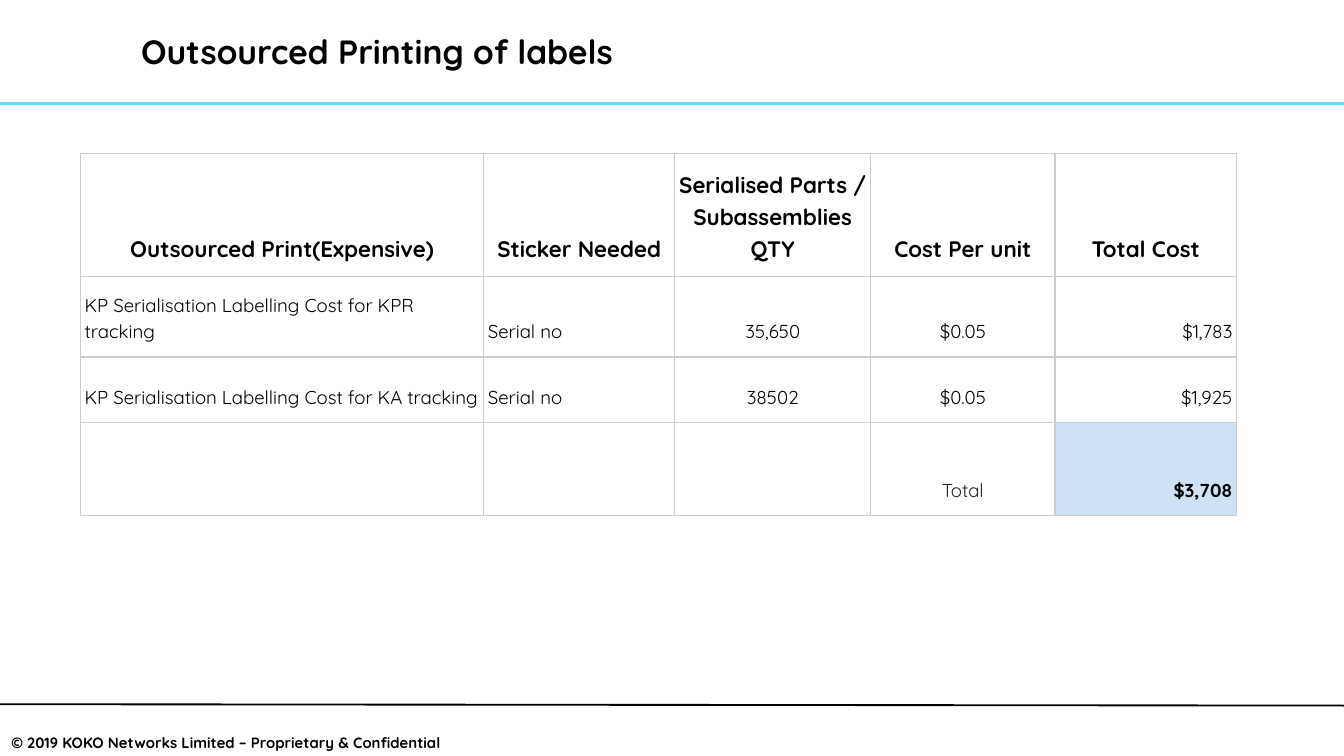
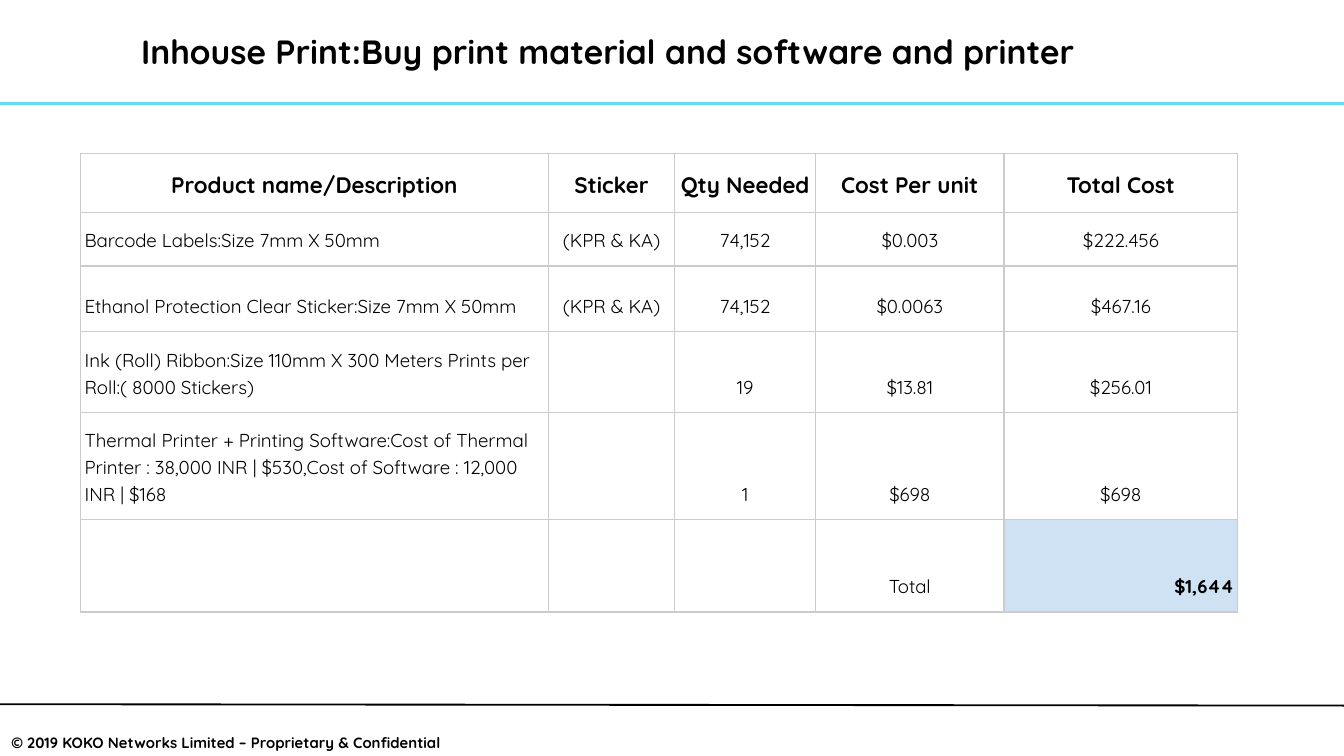
import pptx
import pptx.util
import pptx.dml.color
import pptx.enum.shapes
import pptx.enum.text
import pptx.oxml.ns
from lxml import etree

Inches, Pt = pptx.util.Inches, pptx.util.Pt
ANCHOR = pptx.enum.text.MSO_ANCHOR
ALIGN = {"l": pptx.enum.text.PP_ALIGN.LEFT,
         "c": pptx.enum.text.PP_ALIGN.CENTER,
         "r": pptx.enum.text.PP_ALIGN.RIGHT}
qn = pptx.oxml.ns.qn

# Shared style
FONT = "Quicksand"
BLACK, WHITE, CYAN = "000000", "FFFFFF", "65D9F8"
GRID, TOTAL_FILL, TOTAL_LABEL = "CCCCCC", "CFE2F3", "222222"
FOOTER = "© 2019 KOKO Networks Limited – Proprietary & Confidential "
RULES = [(10.01, 0.77, 0.77, CYAN, 1.5), (10, 5.24, 5.25, BLACK, 1)]


def rgb(value):
    return pptx.dml.color.RGBColor.from_string(value)


def write(tf, text, size=10, bold=False, color=BLACK, align="l", spacing=100):
    tf.auto_size = pptx.enum.text.MSO_AUTO_SIZE.NONE
    p = tf.paragraphs[0]
    p.alignment = ALIGN[align]
    p.line_spacing = 1.0
    # Whole percent, free of float rounding
    p._p.pPr.find(".//" + qn("a:spcPct")).set("val", str(spacing * 1000))
    p.space_before = p.space_after = Pt(0)
    r = p.add_run()
    r.text = text
    r.font.name = FONT
    r.font.size = Pt(size)
    r.font.bold = bold
    r.font.color.rgb = rgb(color)


# Slide content: the last row of each table is the total
slides = [
    dict(
        title="Outsourced Printing of labels",
        cols=[3, 1.42, 1.46, 1.37, 1.35],
        heights=[0.39, 0.35, 0.49, 0.69],
        aligns="llccr",
        label_color=TOTAL_LABEL,
        rows=[
            ["Outsourced Print(Expensive)", "Sticker Needed",
             "Serialised Parts / Subassemblies QTY", "Cost Per unit", "Total Cost"],
            ["KP Serialisation Labelling Cost for KPR tracking", "Serial no",
             "35,650", "$0.05", "$1,783"],
            ["KP Serialisation Labelling Cost for KA tracking", "Serial no",
             "38502", "$0.05", "$1,925"],
            ["", "", "", "Total", "$3,708"],
        ]),
    dict(
        title="Inhouse Print:Buy print material and software and printer",
        cols=[3.48, 0.94, 1.05, 1.4, 1.74],
        heights=[0.39, 0.35, 0.49, 0.52, 0.7, 0.69],
        aligns="lcccc",
        label_color=BLACK,
        rows=[
            ["Product name/Description", "Sticker", "Qty Needed", "Cost Per unit", "Total Cost"],
            ["Barcode Labels:Size 7mm X 50mm", "(KPR & KA)", "74,152", "$0.003", "$222.456"],
            ["Ethanol Protection Clear Sticker:Size 7mm X 50mm", "(KPR & KA)",
             "74,152", "$0.0063", "$467.16"],
            ["Ink (Roll) Ribbon:Size 110mm X 300 Meters Prints per Roll:( 8000 Stickers)",
             "", "19", "$13.81", "$256.01"],
            ["Thermal Printer + Printing Software:Cost of Thermal Printer : 38,000 INR | $530,"
             "Cost of Software : 12,000 INR | $168", "", "1", "$698", "$698"],
            ["", "", "", "Total", "$1,644"],
        ]),
]

# Widescreen 16:9
prs = pptx.Presentation()
prs.slide_width = Inches(10)
prs.slide_height = prs.slide_width * 9 // 16

for data in slides:
    s = prs.slides.add_slide(prs.slide_layouts[6])

    # Header and footer rules
    for x2, y1, y2, color, width in RULES:
        sp = s.shapes.add_connector(pptx.enum.shapes.MSO_CONNECTOR.STRAIGHT,
                                    Inches(0), Inches(y1), Inches(x2), Inches(y2))
        sp.line.color.rgb = rgb(color)
        sp.line.width = Pt(width)
        etree.SubElement(sp._element.spPr, qn("a:effectLst"))

    # Title and footer text
    for box, text, anchor, style in [
            ((0.98, 0.08, 8.64, 0.64), data["title"], ANCHOR.MIDDLE, dict(size=18, spacing=90)),
            ((0, 5.42, 3.4, 0.21), FOOTER, ANCHOR.TOP, dict(size=8, align="c"))]:
        tf = s.shapes.add_textbox(*[Inches(v) for v in box]).text_frame
        tf.word_wrap = True
        tf.vertical_anchor = anchor
        tf.margin_left = tf.margin_right = Inches(0.07)
        tf.margin_top = tf.margin_bottom = Inches(0.04)
        write(tf, text, bold=True, **style)

    # Cost table
    rows, cols, heights = data["rows"], data["cols"], data["heights"]
    table = s.shapes.add_table(len(rows), len(cols), Inches(0.6), Inches(1.14),
                               Inches(sum(cols)), Inches(sum(heights))).table
    table.first_row = table.horz_banding = False
    for column, width in zip(table.columns, cols):
        column.width = Inches(width)
    for row, height in zip(table.rows, heights):
        row.height = Inches(height)

    for i, values in enumerate(rows):
        for j, text in enumerate(values):
            cell = table.cell(i, j)
            header = i == 0
            total_row = i == len(rows) - 1
            grand_total = total_row and j == len(cols) - 1
            cell.fill.solid()
            cell.fill.fore_color.rgb = rgb(TOTAL_FILL if grand_total else WHITE)

            # Cell borders come before the fill
            tcPr = cell._tc.get_or_add_tcPr()
            for k, side in enumerate(["lnL", "lnR", "lnT", "lnB"]):
                ln = etree.Element(qn("a:" + side), w=str(Pt(0.75)))
                fill = etree.SubElement(ln, qn("a:solidFill"))
                etree.SubElement(fill, qn("a:srgbClr"), val=GRID)
                tcPr.insert(k, ln)

            if not text:
                continue
            cell.vertical_anchor = ANCHOR.BOTTOM
            cell.margin_left = cell.margin_right = Inches(0.03)
            cell.margin_top = cell.margin_bottom = Inches(0.1)
            align = "c" if header else "r" if grand_total else data["aligns"][j]
            write(cell.text_frame, text, size=12 if header else 10,
                  bold=header or grand_total, align=align, spacing=115,
                  color=data["label_color"] if text == "Total" else BLACK)

prs.save("out.pptx")
